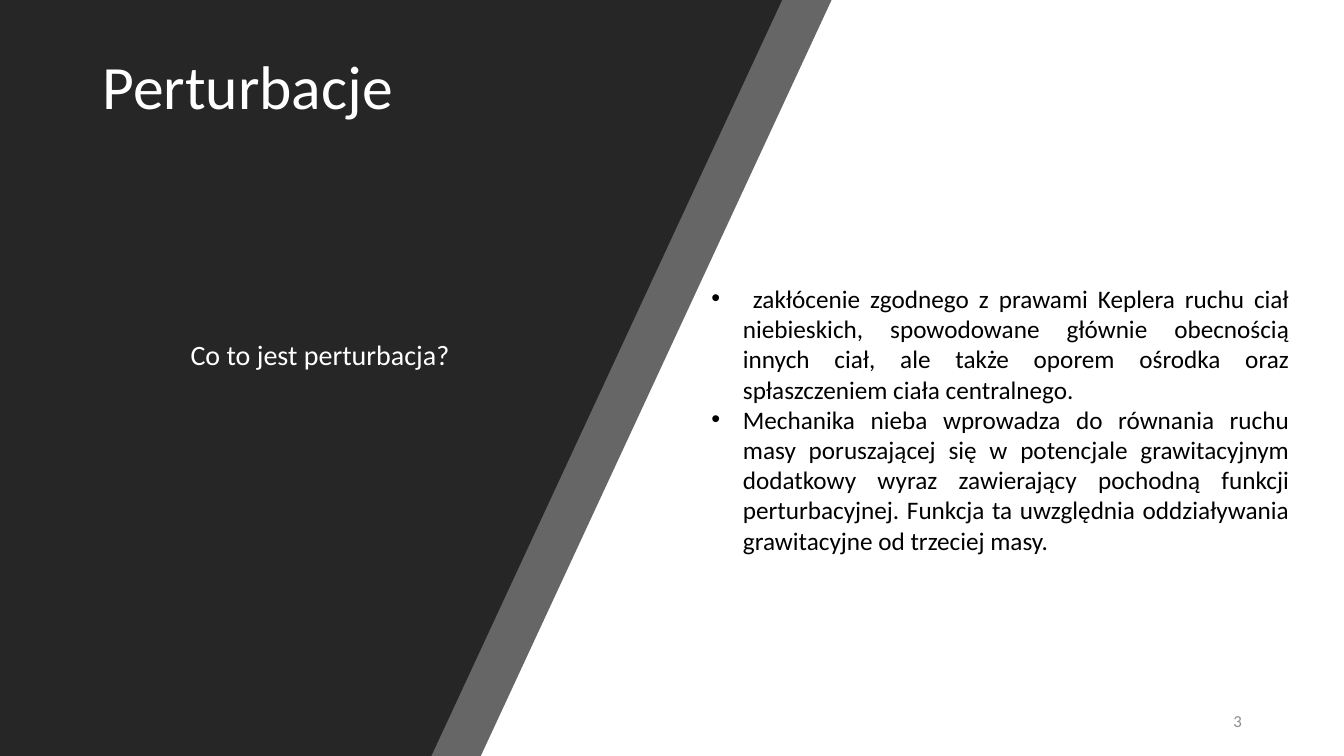
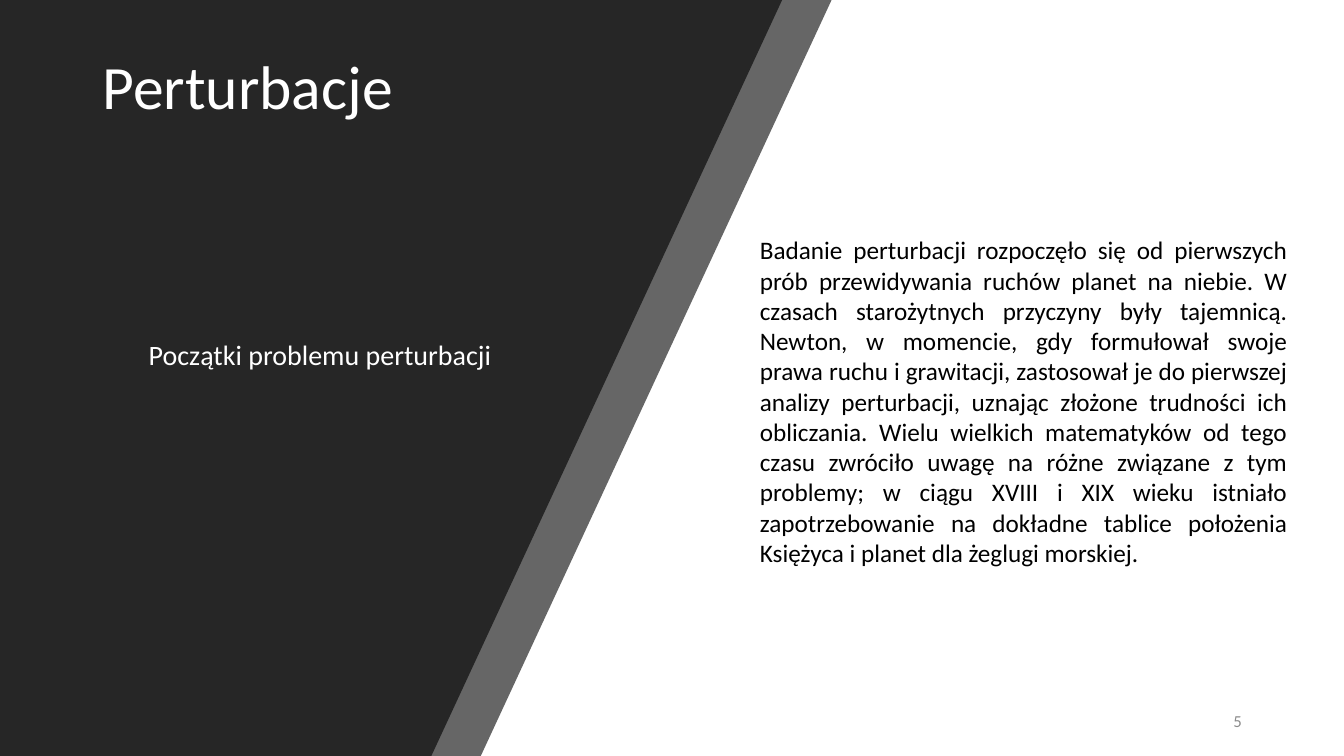
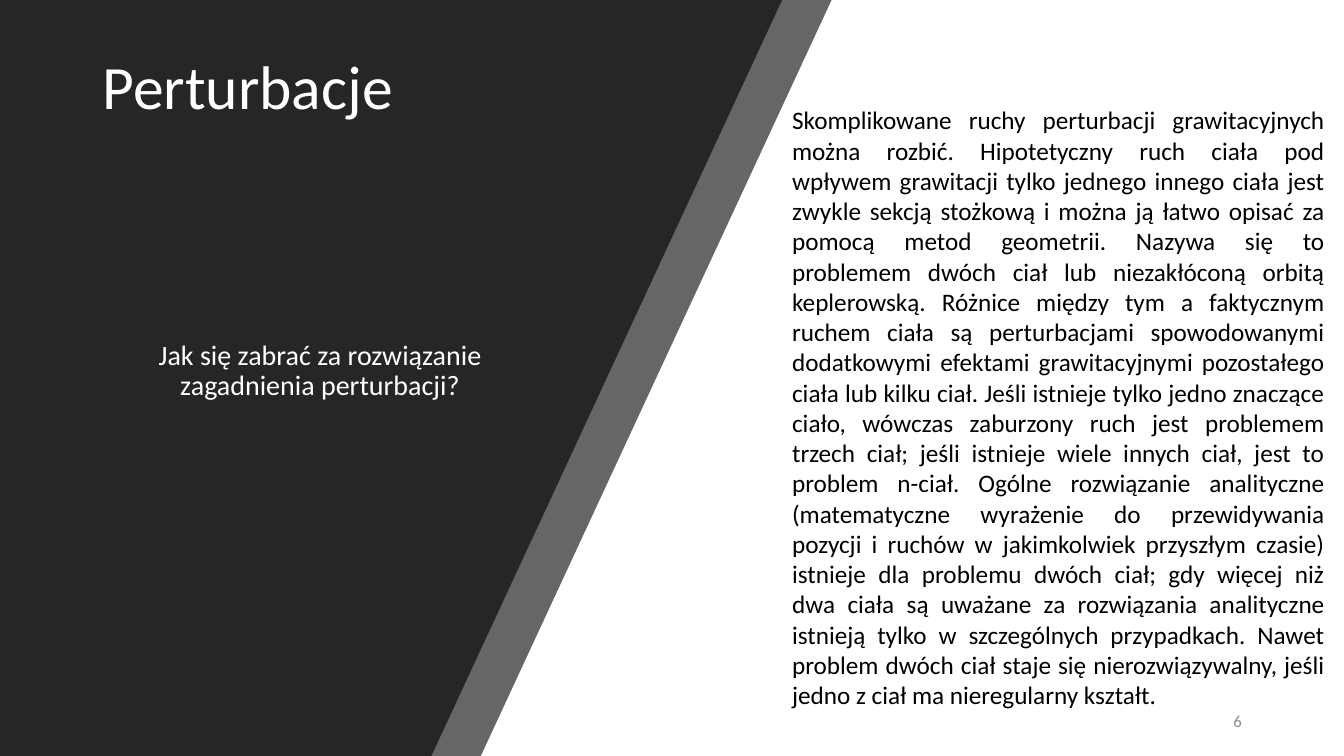
from dataclasses import dataclass

from pptx import Presentation
from pptx import util as u
from pptx.dml.color import RGBColor
from pptx.enum import text
from pptx.oxml.ns import qn
from lxml import etree

Pt = u.Pt


@dataclass(frozen=True)
class Theme:
    font: str = "Calibri"
    dark: str = "262626"
    light: str = "FFFFFF"
    ink: str = "000000"
    mute: str = "8C8C8C"
    head: int = 44
    sub: int = 20
    body: int = 18
    foot: int = 12


T = Theme()
WIDE, HIGH = 960, 540
TITLE = "Perturbacje"
BANDS = [(594, 343.44, 70), (558.72, 308.16, 100)]

SLIDES = [
    dict(
        num="3", ask="Co to jest perturbacja?",
        box=(501.12, 198.72, 426.96, 203.76), dots=True,
        body=[
            [
                " zakłócenie zgodnego z prawami Keplera ruchu ciał "
                "niebieskich, spowodowane głównie obecnością innych ciał, ale "
                "także oporem ośrodka oraz spłaszczeniem ciała centralnego.",
            ],
            [
                "Mechanika nieba wprowadza do równania ruchu masy "
                "poruszającej się w potencjale grawitacyjnym dodatkowy wyraz "
                "zawierający pochodną funkcji perturbacyjnej.",
                "Funkcja ta uwzględnia oddziaływania grawitacyjne od trzeciej "
                "masy.",
            ],
        ],
    ),
    dict(
        num="5", ask="Początki problemu perturbacji",
        box=(535.68, 164.16, 390.96, 246.96), dots=False,
        body=[[
            "Badanie perturbacji rozpoczęło się od pierwszych prób "
            "przewidywania ruchów planet na niebie.",
            "W czasach starożytnych przyczyny były tajemnicą.",
            "Newton, w momencie, gdy formułował swoje prawa ruchu i "
            "grawitacji, zastosował je do pierwszej analizy perturbacji, "
            "uznając złożone trudności ich obliczania.",
            "Wielu wielkich matematyków od tego czasu zwróciło uwagę na różne "
            "związane z tym problemy; w ciągu XVIII i XIX wieku istniało "
            "zapotrzebowanie na dokładne tablice położenia Księżyca i planet "
            "dla żeglugi morskiej.",
        ]],
    ),
    dict(
        num="6",
        ask="Jak się zabrać za rozwiązanie zagadnienia perturbacji?",
        box=(558.72, 71.28, 394.56, 443.52), dots=False,
        body=[[
            "Skomplikowane ruchy perturbacji grawitacyjnych można rozbić.",
            "Hipotetyczny ruch ciała pod wpływem grawitacji tylko jednego "
            "innego ciała jest zwykle sekcją stożkową i można ją łatwo opisać "
            "za pomocą metod geometrii.",
            "Nazywa się to problemem dwóch ciał lub niezakłóconą orbitą "
            "keplerowską.",
            "Różnice między tym a faktycznym ruchem ciała są perturbacjami "
            "spowodowanymi dodatkowymi efektami grawitacyjnymi pozostałego "
            "ciała lub kilku ciał.",
            "Jeśli istnieje tylko jedno znaczące ciało, wówczas zaburzony "
            "ruch jest problemem trzech ciał; jeśli istnieje wiele innych "
            "ciał, jest to problem n-ciał.",
            "Ogólne rozwiązanie analityczne (matematyczne wyrażenie do "
            "przewidywania pozycji i ruchów w jakimkolwiek przyszłym czasie) "
            "istnieje dla problemu dwóch ciał; gdy więcej niż dwa ciała są "
            "uważane za rozwiązania analityczne istnieją tylko w szczególnych "
            "przypadkach.",
            "Nawet problem dwóch ciał staje się nierozwiązywalny, jeśli jedno "
            "z ciał ma nieregularny kształt.",
        ]],
    ),
]

ALIGN, ANCHOR = text.PP_ALIGN, text.MSO_ANCHOR
STYLES = dict(
    head=dict(size=T.head, tint=T.light, para=dict(line_spacing=0.9)),
    sub=dict(size=T.sub, tint=T.light, frame=dict(margin_top=Pt(99.5)),
             para=dict(line_spacing=0.9, alignment=ALIGN.CENTER)),
    foot=dict(size=T.foot, tint=T.mute,
              frame=dict(vertical_anchor=ANCHOR.MIDDLE),
              para=dict(alignment=ALIGN.RIGHT)),
    body=dict(size=T.body, tint=T.ink,
              frame=dict(auto_size=text.MSO_AUTO_SIZE.SHAPE_TO_FIT_TEXT),
              para=dict(alignment=ALIGN.JUSTIFY)),
)


def apply(part, vals):
    for key, val in vals.items():
        setattr(part, key, val)


def add_band(slide, top, foot, alpha):
    pen = slide.shapes.build_freeform(Pt(top), 0, scale=1.0)
    pen.add_line_segments([(0, 0), (0, Pt(HIGH)), (Pt(foot), Pt(HIGH))])
    band = pen.convert_to_shape()
    band.shadow.inherit = False
    band.line.fill.background()
    band.fill.solid()
    band.fill.fore_color.rgb = RGBColor.from_string(T.dark)
    if alpha < 100:
        tint = band._element.spPr.find(".//" + qn("a:srgbClr"))
        etree.SubElement(tint, qn("a:alpha"), val=str(alpha * 1000))


def add_dot(para):
    props = para._p.get_or_add_pPr()
    props.set("marL", str(Pt(22.5)))
    props.set("indent", str(-Pt(22.5)))
    etree.SubElement(props, qn("a:buFont"), typeface="Arial")
    etree.SubElement(props, qn("a:buChar"), char="•")


def add_text(slide, box, lines, style, dots=False):
    look = STYLES[style]
    frame = slide.shapes.add_textbox(*map(Pt, box)).text_frame
    apply(frame, dict(word_wrap=True, **look.get("frame", {})))
    for i, line in enumerate(lines):
        para = frame.add_paragraph() if i else frame.paragraphs[0]
        apply(para, look["para"])
        if dots:
            add_dot(para)
        run = para.add_run()
        run.text = line
        apply(run.font, dict(name=T.font, size=Pt(look["size"])))
        run.font.color.rgb = RGBColor.from_string(look["tint"])


def main():
    deck = Presentation()
    apply(deck, dict(slide_width=Pt(WIDE), slide_height=Pt(HIGH)))
    for page in SLIDES:
        slide = deck.slides.add_slide(deck.slide_layouts[6])
        for band in BANDS:
            add_band(slide, *band)
        add_text(slide, (66.24, 36.72, 435.6, 104.4), [TITLE], "head")
        add_text(slide, (66.24, 144, 324.72, 267.84), [page["ask"]], "sub")
        add_text(slide, (678.24, 500.4, 216, 28.8), [page["num"]], "foot")
        lines = [" ".join(part) for part in page["body"]]
        add_text(slide, page["box"], lines, "body", page["dots"])
    deck.save("out.pptx")


if __name__ == "__main__":
    main()
